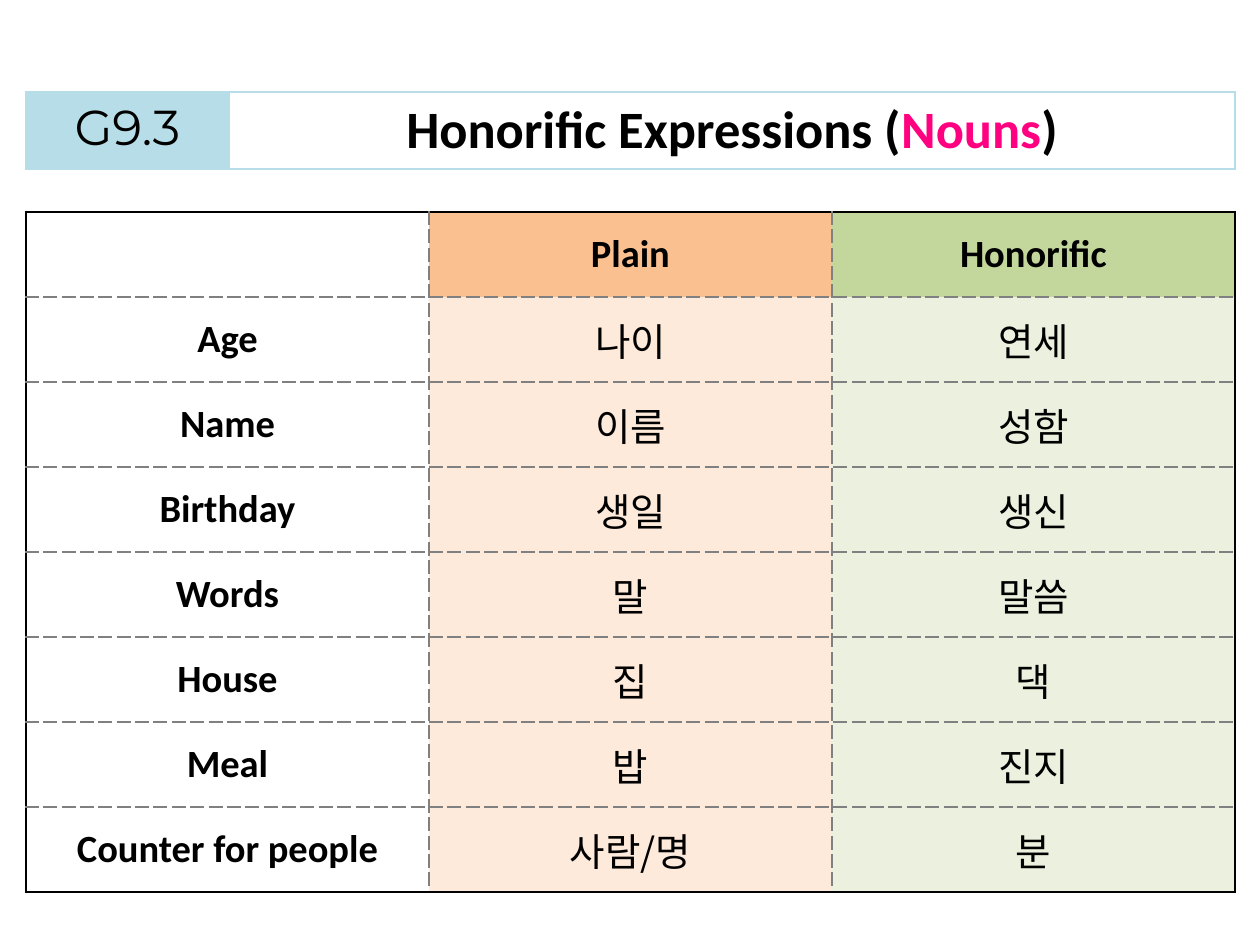
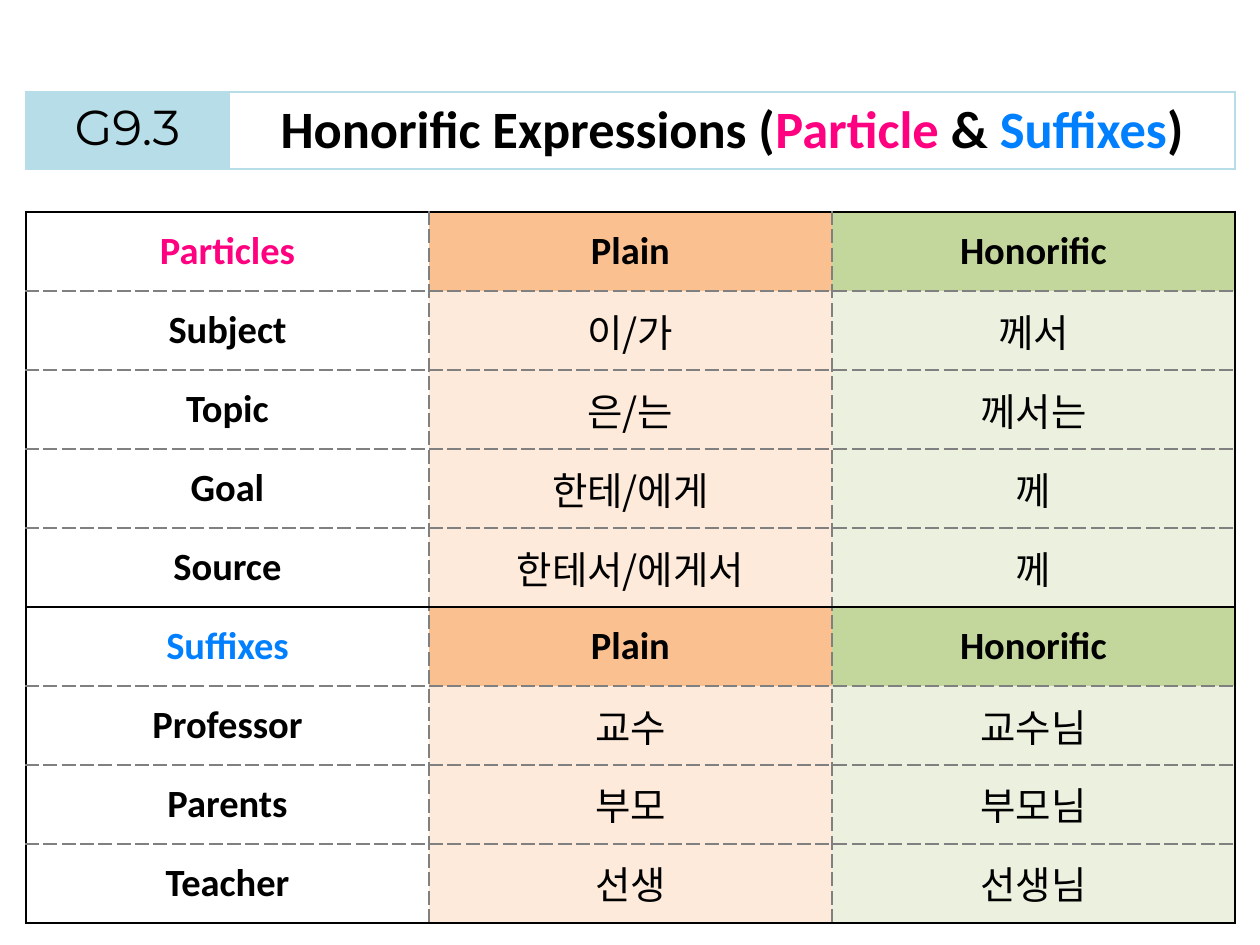
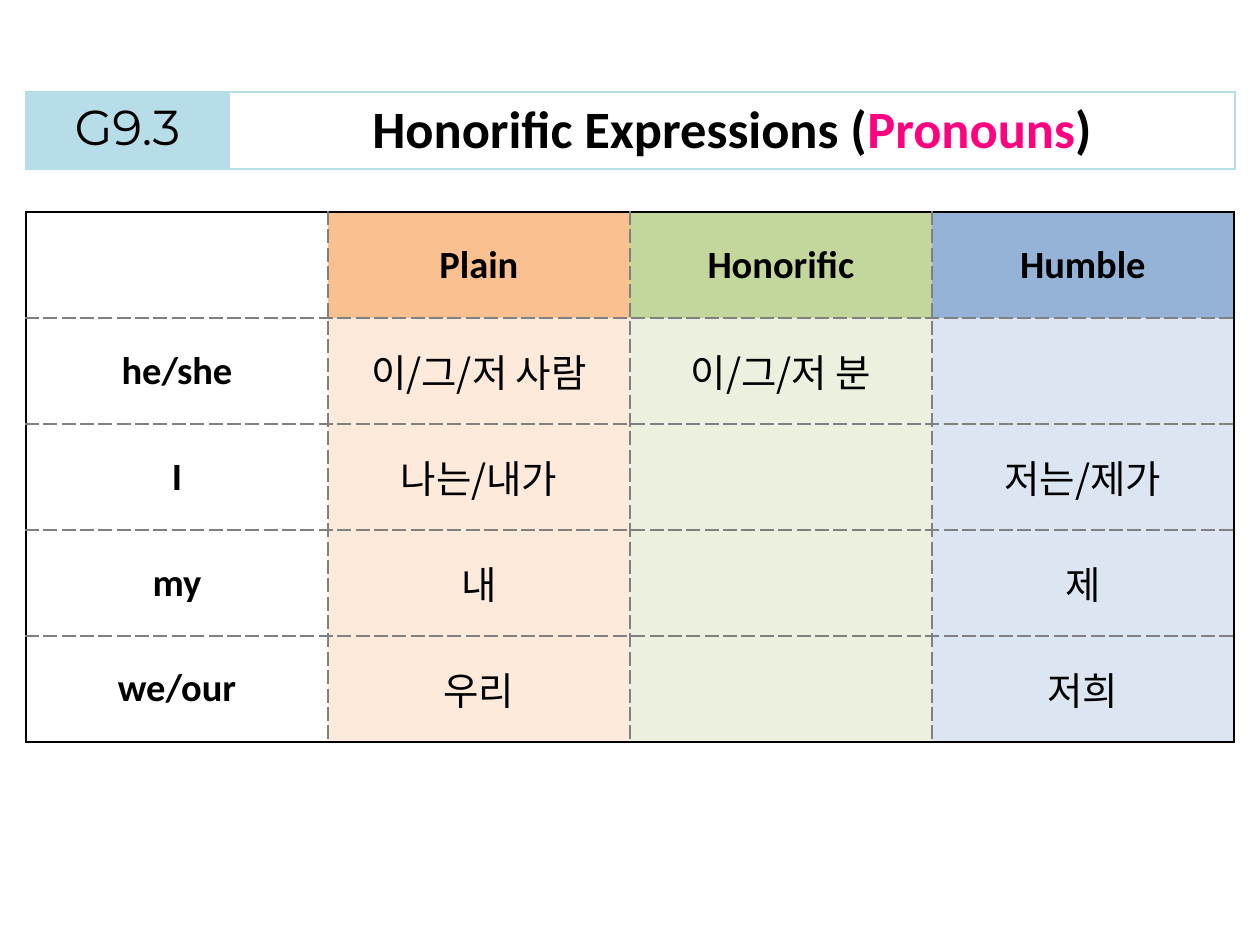
from pptx import Presentation
from pptx.dml.color import RGBColor as RGB
from pptx.enum.text import MSO_ANCHOR as Anchor, PP_ALIGN as Align
from pptx.oxml.ns import qn
from pptx.util import Inches, Pt
from lxml.etree import SubElement as Sub

BLACK = RGB(0x00, 0x00, 0x00)
WHITE = RGB(0xFF, 0xFF, 0xFF)
GRAY = RGB(0x80, 0x80, 0x80)
AQUA = RGB(0xB7, 0xDE, 0xE8)
PINK = RGB(0xFF, 0x00, 0x80)
BLUE = RGB(0x00, 0x80, 0xFF)
HEADS = (WHITE, RGB(0xFA, 0xC0, 0x90), RGB(0xC3, 0xD6, 0x9B), RGB(0x95, 0xB3, 0xD7))
TINTS = (WHITE, RGB(0xFD, 0xEA, 0xDA), RGB(0xEB, 0xF1, 0xDE), RGB(0xDC, 0xE6, 0xF2))

LATIN, KOREAN, TAG = "Calibri", "Noto Sans CJK KR", "Montserrat"
UNIT = "G9.3"
TOPIC = "Honorific Expressions ("
SOLID = (BLACK, 1.5, "solid")
DASH = (GRAY, 1, "sysDash")
EDGE = (AQUA, 1, "solid")

PX = Inches(1) // 126
LEFT, WIDTH = 26, 1209
TITLE_TOP, TITLE_HIGH, TAG_WIDE = 92, 76, 203
GRID_TOP = 212

SLIDES = [
    {
        "title": [(TOPIC, BLACK), ("Nouns", PINK), (")", BLACK)],
        "high": 85,
        "blocks": [
            (BLACK, [
                ("", "Plain", "Honorific"),
                ("Age", "나이", "연세"),
                ("Name", "이름", "성함"),
                ("Birthday", "생일", "생신"),
                ("Words", "말", "말씀"),
                ("House", "집", "댁"),
                ("Meal", "밥", "진지"),
                ("Counter for people", "사람/명", "분"),
            ]),
        ],
    },
    {
        "title": [(TOPIC, BLACK), ("Particle ", PINK), ("& ", BLACK),
                  ("Suffixes", BLUE), (")", BLACK)],
        "high": 79,
        "blocks": [
            (PINK, [
                ("Particles", "Plain", "Honorific"),
                ("Subject", "이/가", "께서"),
                ("Topic", "은/는", "께서는"),
                ("Goal", "한테/에게", "께"),
                ("Source", "한테서/에게서", "께"),
            ]),
            (BLUE, [
                ("Suffixes", "Plain", "Honorific"),
                ("Professor", "교수", "교수님"),
                ("Parents", "부모", "부모님"),
                ("Teacher", "선생", "선생님"),
            ]),
        ],
    },
    {
        "title": [(TOPIC, BLACK), ("Pronouns", PINK), (")", BLACK)],
        "high": 106,
        "blocks": [
            (BLACK, [
                ("", "Plain", "Honorific", "Humble"),
                ("he/she", "이/그/저 사람", "이/그/저 분", ""),
                ("I", "나는/내가", "", "저는/제가"),
                ("my", "내", "", "제"),
                ("we/our", "우리", "", "저희"),
            ]),
        ],
    },
]


def write(cell, parts, size=22, font=LATIN, bold=True, anchor=Anchor.MIDDLE):
    cell.vertical_anchor = anchor
    para = cell.text_frame.paragraphs[0]
    para.alignment = Align.CENTER
    for text, color in parts:
        run = para.add_run()
        run.text = text
        run.font.size, run.font.name, run.font.bold = Pt(size), font, bold
        run.font.color.rgb = color
        Sub(run.font._element, qn("a:ea"), typeface=font)


def paint(cell, fill, left, right, top, bottom):
    props = cell._tc.get_or_add_tcPr()
    for side, (color, wide, dash) in zip("LRTB", (left, right, top, bottom)):
        line = Sub(props, qn(f"a:ln{side}"), w=str(Pt(wide)))
        Sub(Sub(line, qn("a:solidFill")), qn("a:srgbClr"), val=str(color))
        Sub(line, qn("a:prstDash"), val=dash)
    cell.fill.solid()
    cell.fill.fore_color.rgb = fill


def add_grid(slide, top, wides, highs):
    frame = slide.shapes.add_table(len(highs), len(wides), LEFT * PX, top * PX,
                                   sum(wides) * PX, sum(highs) * PX)
    table = frame.table
    table.first_row = table.horz_banding = False
    for col, wide in zip(table.columns, wides):
        col.width = wide * PX
    for row, high in zip(table.rows, highs):
        row.height = high * PX
    return table


def add_title(slide, parts):
    table = add_grid(slide, TITLE_TOP, [TAG_WIDE, WIDTH - TAG_WIDE], [TITLE_HIGH])
    tag, head = table.cell(0, 0), table.cell(0, 1)
    paint(tag, AQUA, *[EDGE] * 4)
    paint(head, WHITE, *[EDGE] * 4)
    write(tag, [(UNIT, BLACK)], size=28, font=TAG, bold=False, anchor=Anchor.TOP)
    write(head, parts, size=30, anchor=Anchor.TOP)


def add_words(slide, blocks, high):
    cols = len(blocks[0][1][0])
    count = sum(len(rows) for _, rows in blocks)
    table = add_grid(slide, GRID_TOP, [WIDTH // cols] * cols, [high] * count)
    start = 0
    for accent, rows in blocks:
        last = len(rows) - 1
        for r, row in enumerate(rows):
            for c, text in enumerate(row):
                cell = table.cell(start + r, c)
                paint(cell, (TINTS if r else HEADS)[c],
                      DASH if c else SOLID,
                      SOLID if c == cols - 1 else DASH,
                      DASH if r else SOLID,
                      SOLID if r == last else DASH)
                label = r == 0 or c == 0
                color = accent if r == c == 0 else BLACK
                if text:
                    write(cell, [(text, color)], bold=label,
                          font=LATIN if label else KOREAN)
        start += len(rows)


def main():
    deck = Presentation()
    deck.slide_width, deck.slide_height = Inches(10), Inches(7.5)
    for page in SLIDES:
        slide = deck.slides.add_slide(deck.slide_layouts[6])
        add_title(slide, page["title"])
        add_words(slide, page["blocks"], page["high"])
    deck.save("out.pptx")


if __name__ == "__main__":
    main()
